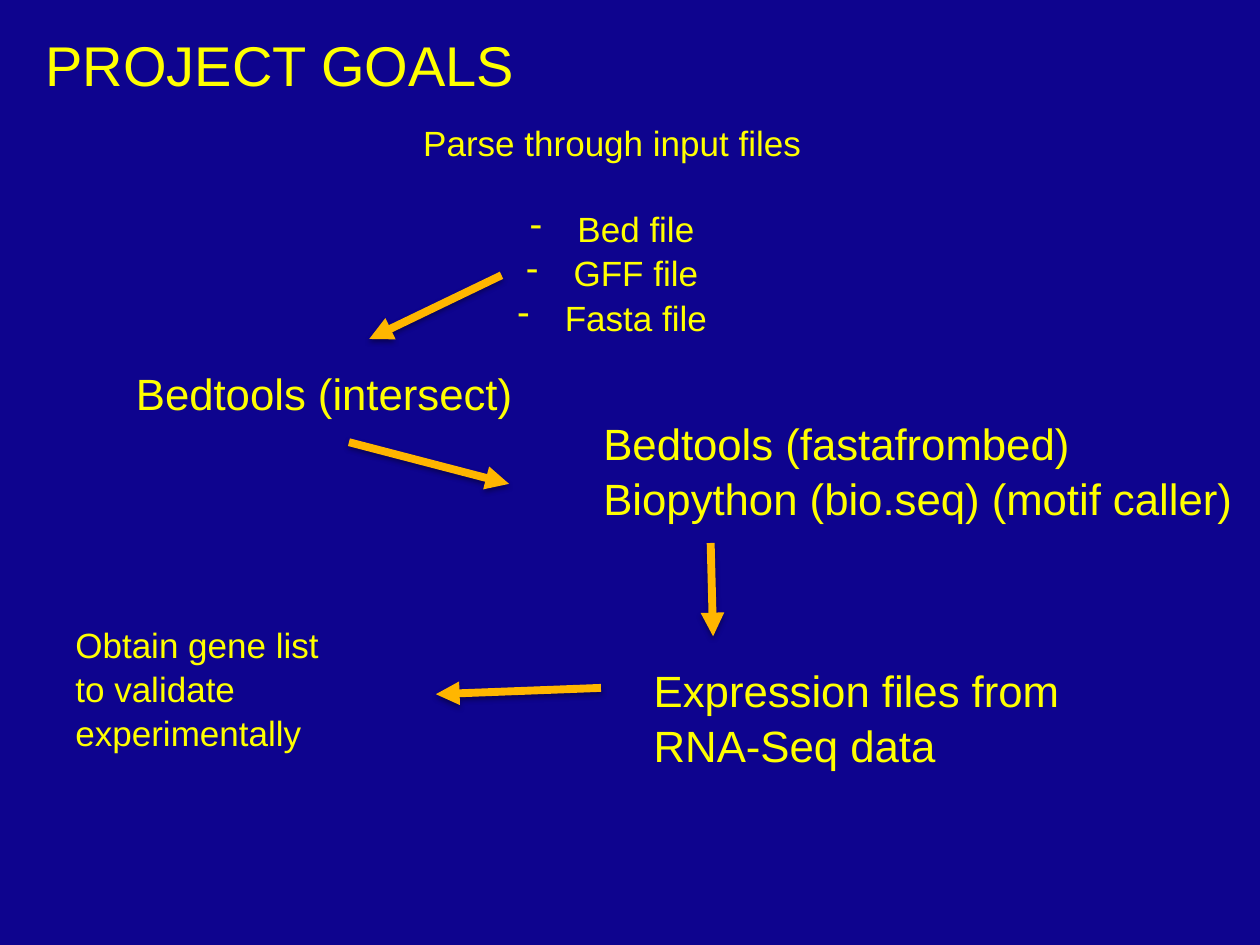
from pptx import Presentation
from pptx.dml.color import RGBColor
from pptx.enum.shapes import MSO_CONNECTOR
from pptx.enum.text import MSO_ANCHOR, PP_ALIGN
from pptx.oxml import parse_xml
from pptx.oxml.ns import nsdecls
from pptx.util import Pt

NAVY = RGBColor(0x0E, 0x04, 0x8E)
YELLOW = RGBColor(0xFF, 0xFF, 0x00)
AMBER = RGBColor(0xFF, 0xB6, 0x00)
FONT = "Arial"
INDENT = 36
BULLET_INDENT, BULLET_HANG = 63, 27

TITLE = "PROJECT GOALS"
TITLE_BOX = (18.7, 0, 696.2, 77.8)

INPUT_HEADING = "Parse through input files"
INPUT_FILES = ["Bed file", "GFF file", "Fasta file"]
INPUT_BOX = (12.2, 64.8, 639.4, 128.2)

STEPS = [
    (["Bedtools (intersect)"], 25, (34.6, 204.5, 511.2, 61.9)),
    (["Bedtools (fastafrombed)", "Biopython (bio.seq) (motif caller)"], 25,
     (301.7, 233.3, 511.2, 92.2)),
    (["Expression files from", "RNA-Seq data"], 25, (330.5, 374.4, 511.2, 92.2)),
    (["Obtain gene list", "to validate experimentally"], 20, (0, 351.4, 227.5, 79.9)),
]

ARROWS = [
    ((286.6, 157.3), (211, 193.7)),
    ((199.4, 252.7), (290.9, 276.5)),
    ((406.1, 310.3), (407.5, 363.6)),
    ((343.4, 393.1), (249.1, 396.7)),
]


def add_text(frame, text, size=20, align=PP_ALIGN.LEFT, line_spacing=1.05,
             space_before=0, indent=INDENT, bullet=None, first=False):
    paragraph = frame.paragraphs[0] if first else frame.add_paragraph()
    properties = paragraph._p.get_or_add_pPr()
    properties.set("marL", str(Pt(indent)))
    properties.set("indent", str(Pt(-BULLET_HANG if bullet else 0)))
    if bullet:
        properties.append(parse_xml(f'<a:buChar {nsdecls("a")} char="{bullet}"/>'))
    paragraph.alignment = align
    paragraph.line_spacing = line_spacing
    paragraph.space_before = Pt(space_before)
    run = paragraph.add_run()
    run.text = text
    run.font.name = FONT
    run.font.size = Pt(size)
    run.font.color.rgb = YELLOW


def add_box(slide, box):
    frame = slide.shapes.add_textbox(*map(Pt, box)).text_frame
    frame.word_wrap = True
    return frame


def add_arrow(slide, start, end):
    connector = slide.shapes.add_connector(
        MSO_CONNECTOR.STRAIGHT, *map(Pt, start + end))
    connector.line.color.rgb = AMBER
    connector.line.width = Pt(4.5)
    connector.line._get_or_add_ln().append(
        parse_xml(f'<a:tailEnd {nsdecls("a")} type="triangle"/>'))
    connector._element.spPr.append(parse_xml(
        f'<a:effectLst {nsdecls("a")}>'
        f'<a:outerShdw blurRad="{Pt(3.1)}" dist="{Pt(1.6)}" dir="5400000" rotWithShape="0">'
        '<a:srgbClr val="000000"><a:alpha val="38000"/></a:srgbClr>'
        '</a:outerShdw></a:effectLst>'))


def add_title(slide):
    title = slide.shapes.title
    title.left, title.top, title.width, title.height = map(Pt, TITLE_BOX)
    title.text_frame.vertical_anchor = MSO_ANCHOR.MIDDLE
    add_text(title.text_frame, TITLE, size=32, line_spacing=0.9, indent=0, first=True)


def add_inputs(slide):
    frame = add_box(slide, INPUT_BOX)
    add_text(frame, INPUT_HEADING, align=PP_ALIGN.CENTER, first=True)
    for index, name in enumerate(INPUT_FILES):
        add_text(frame, name, align=PP_ALIGN.CENTER, indent=BULLET_INDENT,
                 bullet="-", space_before=0 if index else 24)


def main():
    presentation = Presentation()
    presentation.slide_width, presentation.slide_height = Pt(720), Pt(540)
    slide = presentation.slides.add_slide(presentation.slide_layouts[5])
    slide.background.fill.solid()
    slide.background.fill.fore_color.rgb = NAVY

    add_title(slide)
    add_inputs(slide)
    for lines, size, box in STEPS:
        frame = add_box(slide, box)
        for index, line in enumerate(lines):
            add_text(frame, line, size=size, first=index == 0)
    for start, end in ARROWS:
        add_arrow(slide, start, end)

    presentation.save("out.pptx")


if __name__ == "__main__":
    main()
